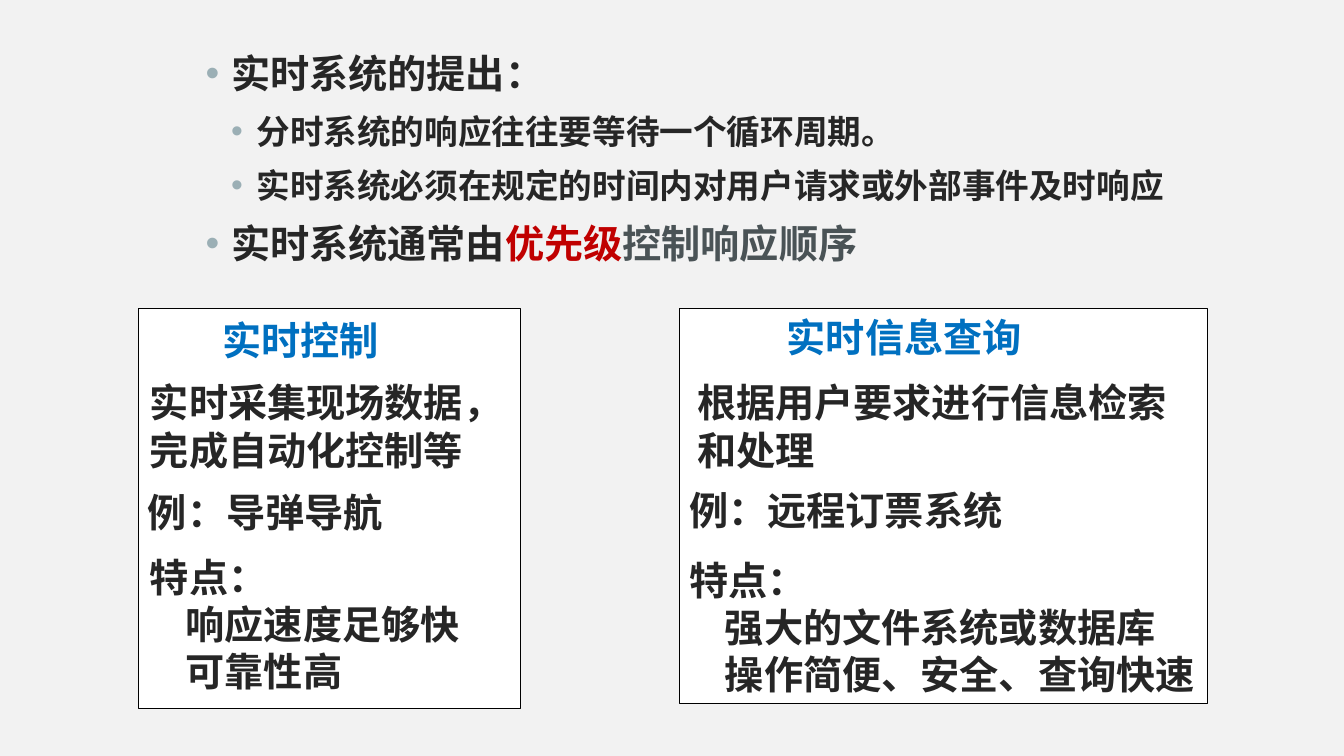
from dataclasses import dataclass

from lxml.etree import SubElement
from pptx import Presentation
from pptx.dml.color import RGBColor
from pptx.enum.lang import MSO_LANGUAGE_ID
from pptx.enum.shapes import MSO_SHAPE
from pptx.enum.text import MSO_ANCHOR, MSO_AUTO_SIZE
from pptx.oxml.ns import qn
from pptx.util import Cm, Pt

PALE = RGBColor(0xF2, 0xF2, 0xF2)
WHITE = RGBColor(0xFF, 0xFF, 0xFF)
BLACK = RGBColor(0, 0, 0)
INK = RGBColor(0x26, 0x26, 0x26)
RED = RGBColor(0xC0, 0, 0)
SLATE = RGBColor(0x4A, 0x53, 0x56)
BLUE = RGBColor(0, 0x70, 0xC0)
BULLET = RGBColor(0x9B, 0xAF, 0xB5)
LATIN = "Calibri"
HAN = "Noto Sans CJK SC"

Box = tuple[float, float, float, float]


@dataclass
class Point:
    level: int
    texts: list[tuple[str, RGBColor]]


@dataclass
class Label:
    box: Box
    lines: list[str]
    color: RGBColor = INK
    font: str = LATIN
    inset: float = 0  # left margin of every line after the first


@dataclass
class Panel:
    frame: Box
    labels: list[Label]


POINTS = [
    Point(0, [("实时系统的提出：", INK)]),
    Point(1, [("分时系统的响应往往要等待一个循环周期。", INK)]),
    Point(1, [("实时系统必须在规定的时间内对用户请求或外部事件及时响应", INK)]),
    Point(0, [("实时系统通常由", INK), ("优先级", RED), ("控制响应顺序", SLATE)]),
]

PANELS = [
    Panel((3.48, 7.77, 9.65, 10.08), [
        Label((3.53, 9.42, 9.68, 3.12), ["实时采集现场数据，", "完成自动化控制等"]),
        Label((3.48, 12.19, 8.03, 1.7), ["例：导弹导航"]),
        Label((3.53, 13.82, 9.04, 4.52),
              ["特点：", "响应速度足够快", "可靠性高"], inset=0.9),
        Label((5.36, 7.85, 5.61, 1.45), ["实时控制"], BLUE, HAN),
    ]),
    Panel((17.12, 7.77, 13.31, 9.96), [
        Label((17.32, 9.42, 12.45, 2.64), ["根据用户要求进行信息检索和处理"]),
        Label((17.12, 12.14, 11.56, 1.68), ["例：远程订票系统"]),
        Label((17.12, 13.89, 13.54, 3.86),
              ["特点：", "强大的文件系统或数据库", "操作简便、安全、查询快速"], inset=0.9),
        Label((19.58, 7.77, 8.56, 1.47), ["实时信息查询"], BLUE, HAN),
    ]),
]


def style(run, size: int, color: RGBColor, name: str = LATIN) -> None:
    font = run.font
    font.name, font.size, font.bold = name, Pt(size), True
    font.color.rgb = color
    font.language_id = MSO_LANGUAGE_ID.SIMPLIFIED_CHINESE


def indent(para, left: float, first: float = 0):
    props = para._p.get_or_add_pPr()
    props.set("marL", str(Cm(left)))
    props.set("indent", str(Cm(first)))
    return props


def add_bullet(para, level: int) -> None:
    props = indent(para, 0.64 * (level + 1), -0.64)
    color = SubElement(props, qn("a:buClr"))
    SubElement(color, qn("a:srgbClr"), val=str(BULLET))
    SubElement(props, qn("a:buFont"), typeface="Arial")
    SubElement(props, qn("a:buChar"), char="•")


def fill_body(body, points: list[Point]) -> None:
    body.left, body.top, body.width, body.height = map(Cm, (4.93, 1.12, 25.48, 6.68))
    frame = body.text_frame
    frame.auto_size = MSO_AUTO_SIZE.NONE
    frame.vertical_anchor = MSO_ANCHOR.TOP
    for i, point in enumerate(points):
        para = frame.add_paragraph() if i else frame.paragraphs[0]
        para.level = point.level
        para.space_before = Pt(10)
        add_bullet(para, point.level)
        for text, color in point.texts:
            run = para.add_run()
            run.text = text
            style(run, 28 - 4 * point.level, color)


def add_label(group, label: Label) -> None:
    frame = group.shapes.add_textbox(*map(Cm, label.box)).text_frame
    frame.word_wrap = True
    frame.text = "\n".join(label.lines)
    for i, para in enumerate(frame.paragraphs):
        if i and label.inset:
            indent(para, label.inset)
        for run in para.runs:
            style(run, 28, label.color, label.font)


def add_panel(slide, panel: Panel) -> None:
    group = slide.shapes.add_group_shape()
    rect = group.shapes.add_shape(MSO_SHAPE.RECTANGLE, *map(Cm, panel.frame))
    rect.shadow.inherit = False
    rect.fill.solid()
    rect.fill.fore_color.rgb = WHITE
    rect.line.color.rgb = BLACK
    rect.line.width = Pt(0.75)
    for label in panel.labels:
        add_label(group, label)


def main() -> None:
    deck = Presentation()
    deck.slide_width, deck.slide_height = Cm(33.87), Cm(19.05)
    slide = deck.slides.add_slide(deck.slide_layouts.get_by_name("Title and Content"))
    slide.background.fill.solid()
    slide.background.fill.fore_color.rgb = PALE
    title = slide.shapes.title.element
    title.getparent().remove(title)
    fill_body(slide.placeholders[1], POINTS)
    for panel in PANELS:
        add_panel(slide, panel)
    deck.save("out.pptx")


if __name__ == "__main__":
    main()
